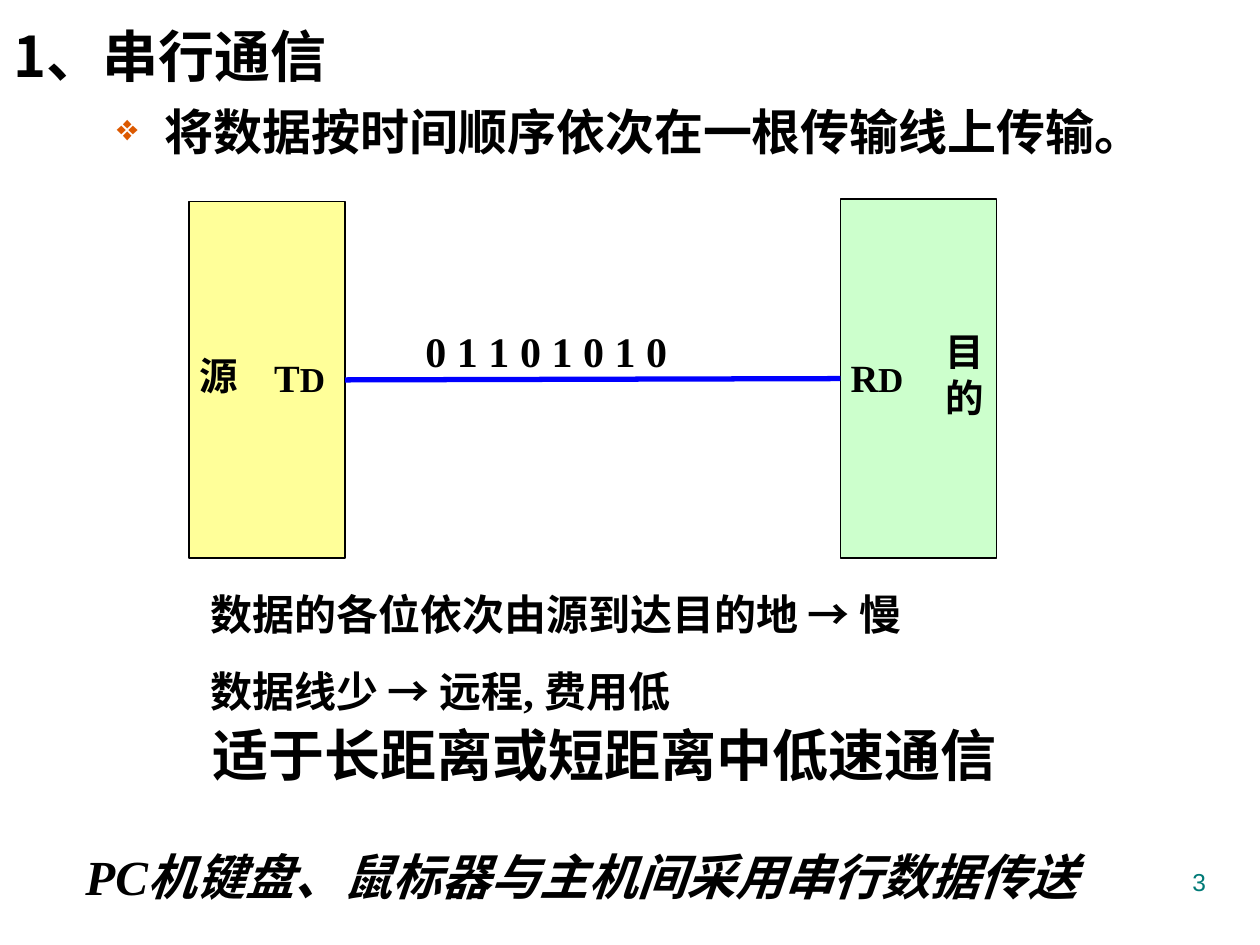
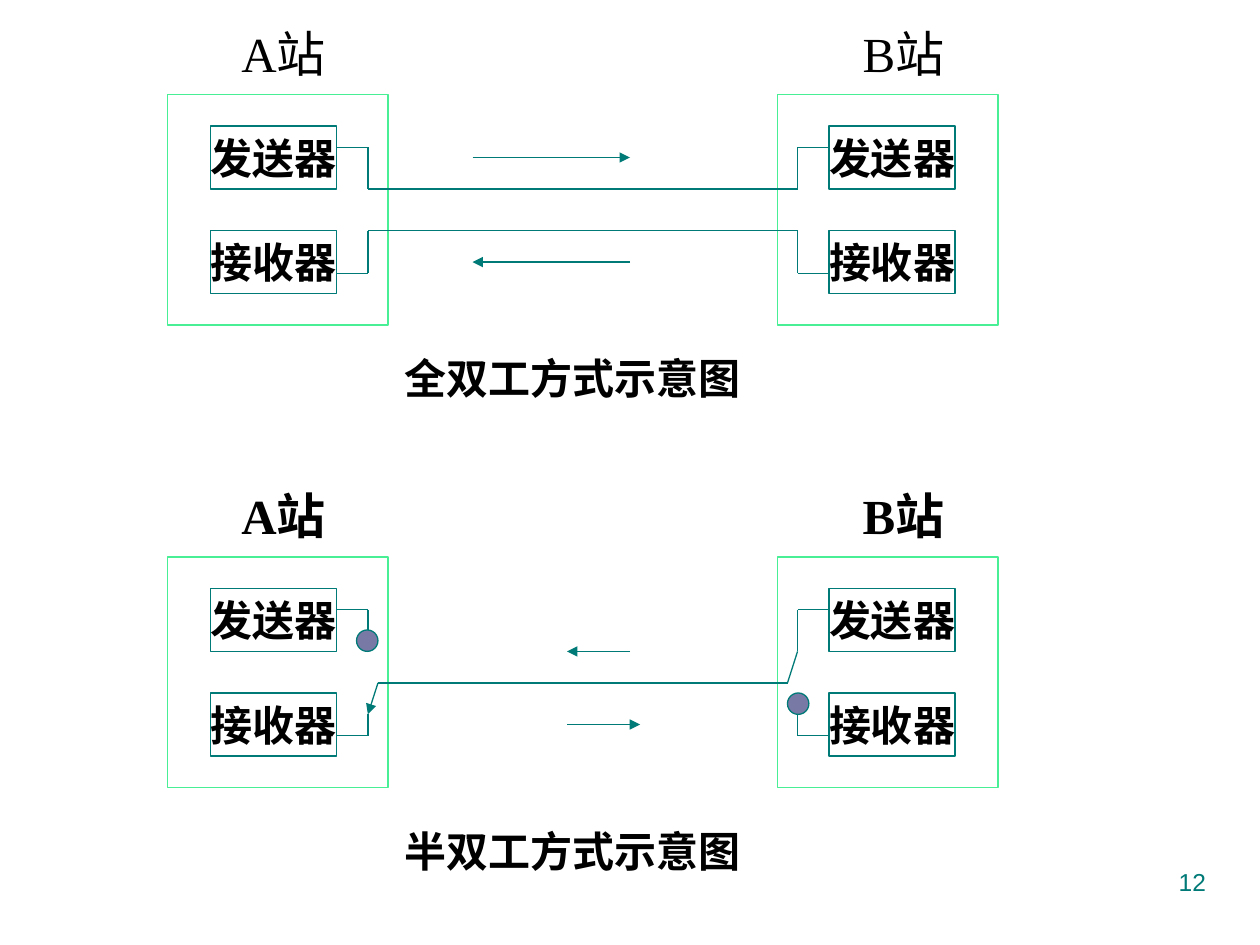
from lxml import etree
from pptx import Presentation
from pptx.dml.color import RGBColor
from pptx.enum import shapes, text
from pptx.oxml import ns
from pptx.util import Inches, Pt

COLORS = {
    "ink": "000000", "teal": "007A77", "frame": "49EF94", "switch": "7979A5",
    "bullet": "DC5900", "source": "FFFF99", "target": "CCFFCC", "signal": "0000FF",
}
SERIF, SANS, NUMBER_FONT = "Times New Roman", "Noto Sans CJK SC", "Arial"
PADDED, TIGHT = (0.1, 0.05), (0, 0)
LEFT, CENTER, RIGHT = text.PP_ALIGN.LEFT, text.PP_ALIGN.CENTER, text.PP_ALIGN.RIGHT

# Serial communication: text, area, then text options
SERIAL_TEXTS = [
    (["1、串行通信"], (0.01, 0.12, 4.83, 0.64),
     dict(size=32, font=SANS, anchor=text.MSO_ANCHOR.MIDDLE)),
    (["将数据按时间顺序依次在一根传输线上传输。"], (0.83, 0.76, 8.5, 0.57),
     dict(size=28, font=SANS, indent=(0.38, -0.38), bullet="❖")),
    (["0 1 1 0 1 0 1 0"], (3.33, 2.58, 2.01, 0.35),
     dict(align=CENTER, insets=TIGHT)),
    (["源"], (1.58, 2.79, 0.42, 0.33), dict(size=22, insets=TIGHT)),
    (["目", "的"], (7.5, 2.6, 0.42, 0.83), dict(size=22, insets=TIGHT)),
    (["数据的各位依次由源到达目的地 → 慢", "数据线少 → 远程, 费用低"],
     (0.67, 4.67, 7.67, 1.01), dict(indent=(1, 0), after=15, insets=TIGHT)),
    (["适于长距离或短距离中低速通信"], (1.59, 5.67, 6.43, 0.64),
     dict(size=32, wrap=False)),
    (["PC机键盘、鼠标器与主机间采用串行数据传送"], (0.58, 6.67, 9.08, 0.57),
     dict(size=28, italic=True, indent=(0.38, -0.38))),
]
PINS = [("T", (2, 2.85, 0.58, 0.44), RIGHT), ("R", (6.75, 2.85, 0.58, 0.36), LEFT)]
SOURCE_AREA = (1.5, 1.6, 1.24, 2.83)
TARGET_AREA = (6.67, 1.58, 1.24, 2.85)

# Duplex diagrams: heights are measured from the top of the station frames
STATIONS = [("A站", 1.33, 1.67, 1.75), ("B站", 6.17, 6.58, 6.67)]  # frame, unit, label x
UNITS = [("发送器", 0.25), ("接收器", 1.08)]
PORT_A, BEND_A, BEND_B, PORT_B = 2.67, 2.92, 6.33, 6.58
SEND, RECEIVE = 0.42, 1.42
DIAGRAMS = [
    dict(
        top=0.75, caption="全双工方式示意图", caption_y=2, bold_labels=False,
        wires=[
            [(PORT_A, SEND), (BEND_A, SEND), (BEND_A, 0.75),
             (BEND_B, 0.75), (BEND_B, SEND), (PORT_B, SEND)],
            [(PORT_A, RECEIVE), (BEND_A, RECEIVE), (BEND_A, 1.08),
             (BEND_B, 1.08), (BEND_B, RECEIVE), (PORT_B, RECEIVE)],
        ],
        arrows=[((3.75, 0.5), (5, 0.5)), ((5, 1.33), (3.75, 1.33))],
        switches=[],
    ),
    dict(
        top=4.42, caption="半双工方式示意图", caption_y=2.08, bold_labels=True,
        wires=[
            [(PORT_A, SEND), (BEND_A, SEND), (BEND_A, 0.67)],
            [(3, 1), (6.25, 1), (BEND_B, 0.75), (BEND_B, SEND), (PORT_B, SEND)],
            [(BEND_A, 1.25), (BEND_A, RECEIVE), (PORT_A, RECEIVE)],
            [(BEND_B, 1.25), (BEND_B, RECEIVE), (PORT_B, RECEIVE)],
        ],
        arrows=[((3, 1), (BEND_A, 1.25)), ((5, 0.75), (4.5, 0.75)),
                ((4.5, 1.33), (5.08, 1.33))],
        switches=[(2.83, 0.58), (6.25, 1.08)],
    ),
]


def rgb(name):
    return RGBColor.from_string(COLORS[name])


def inches(values):
    return [Inches(value) for value in values]


def style_span(span, size, font=SERIF, color="ink", bold=True, italic=False):
    span.font.size = Pt(size)
    span.font.bold, span.font.italic = bold, italic
    span.font.color.rgb = rgb(color)
    span.font.name = font
    east_asian = etree.SubElement(span.font._element, ns.qn("a:ea")) \
        if hasattr(span.font, "_element") else \
        etree.SubElement(span._r.get_or_add_rPr(), ns.qn("a:ea"))
    east_asian.set("typeface", SANS)


def add_bullet(para, symbol):
    properties = para._p.get_or_add_pPr()
    color = etree.SubElement(properties, ns.qn("a:buClr"))
    etree.SubElement(color, ns.qn("a:srgbClr")).set("val", COLORS["bullet"])
    etree.SubElement(properties, ns.qn("a:buSzPct")).set("val", "75000")
    etree.SubElement(properties, ns.qn("a:buChar")).set("char", symbol)


def fill_frame(frame, lines, size=24, align=LEFT, insets=PADDED, wrap=True,
               anchor=text.MSO_ANCHOR.TOP, indent=None, after=0, bullet=None, **style):
    frame.text = "\n".join(lines)
    frame.word_wrap, frame.vertical_anchor = wrap, anchor
    frame.margin_left = frame.margin_right = Inches(insets[0])
    frame.margin_top = frame.margin_bottom = Inches(insets[1])
    for para in frame.paragraphs:
        if bullet:
            add_bullet(para, bullet)
        para.alignment = align
        para.space_after = Pt(after)
        if indent:
            properties = para._p.get_or_add_pPr()
            properties.set("marL", str(Inches(indent[0])))
            properties.set("indent", str(Inches(indent[1])))
        for span in para.runs:
            style_span(span, size, **style)


def add_text(page, lines, area, **options):
    box = page.shapes.add_textbox(*inches(area))
    fill_frame(box.text_frame, lines, **options)
    return box


def add_centered(page, line, area, **options):
    return add_text(page, [line], area, align=CENTER, wrap=False,
                    anchor=text.MSO_ANCHOR.MIDDLE, **options)


def add_box(page, area, line, fill=None, width=0.75,
            kind=shapes.MSO_SHAPE.RECTANGLE):
    box = page.shapes.add_shape(kind, *inches(area))
    box.shadow.inherit = False
    box.line.color.rgb = rgb(line)
    box.line.width = Pt(width)
    if fill:
        box.fill.solid()
        box.fill.fore_color.rgb = rgb(fill)
    else:
        box.fill.background()
    return box


def add_line(page, start, end, color="teal", width=0.75, arrow=False):
    line = page.shapes.add_connector(
        shapes.MSO_CONNECTOR.STRAIGHT, *inches((*start, *end)))
    line.line.color.rgb = rgb(color)
    line.line.width = Pt(width)
    if arrow:
        etree.SubElement(line.line._get_or_add_ln(), ns.qn("a:tailEnd")).set("type", "triangle")
    etree.SubElement(line._element.spPr, ns.qn("a:effectLst"))
    return line


def add_page_number(page, number):
    add_text(page, [str(number)], (7.17, 6.83, 2.5, 0.52), size=14, align=RIGHT,
             font=NUMBER_FONT, color="teal", bold=False)


def build_serial(page):
    source = add_box(page, SOURCE_AREA, "ink", "source", width=1)
    target = add_box(page, TARGET_AREA, "ink", "target", width=1)
    signal = add_line(page, (2.74, 3.02), (6.67, 3), "signal", width=3)
    signal.begin_connect(source, 3)
    signal.end_connect(target, 1)
    for lines, area, options in SERIAL_TEXTS:
        add_text(page, lines, area, **options)
    for letter, area, align in PINS:
        box = add_text(page, [letter], area, size=22, align=align, insets=TIGHT)
        para = box.text_frame.paragraphs[0]
        para.line_spacing = 0.9
        span = para.add_run()
        span.text = "D"
        style_span(span, 20)


def build_diagram(page, diagram):
    top = diagram["top"]

    def place(point):
        return point[0], top + point[1]

    for name, frame_x, unit_x, label_x in STATIONS:
        add_box(page, (frame_x, top, 1.75, 1.83), "frame")
        for unit, unit_y in UNITS:
            box = add_box(page, (unit_x, top + unit_y, 1, 0.5), "teal")
            fill_frame(box.text_frame, [unit], align=CENTER, wrap=False,
                       anchor=text.MSO_ANCHOR.MIDDLE)
        add_centered(page, name, (label_x, top - 0.58, 1, 0.5), size=28,
                     bold=diagram["bold_labels"])
    for wire in diagram["wires"]:
        for start, end in zip(wire, wire[1:]):
            add_line(page, place(start), place(end))
    for start, end in diagram["arrows"]:
        add_line(page, place(start), place(end), arrow=True)
    for switch in diagram["switches"]:
        add_box(page, (*place(switch), 0.17, 0.17), "teal", "switch",
                kind=shapes.MSO_SHAPE.OVAL)
    add_centered(page, diagram["caption"], (2.58, top + diagram["caption_y"], 3.92, 0.5))


def build_duplex(page):
    for diagram in DIAGRAMS:
        build_diagram(page, diagram)


def main():
    deck = Presentation()
    deck.slide_width, deck.slide_height = Inches(10), Inches(7.5)
    for build, number in [(build_serial, 3), (build_duplex, 12)]:
        page = deck.slides.add_slide(deck.slide_layouts[6])
        build(page)
        add_page_number(page, number)
    deck.save("out.pptx")


if __name__ == "__main__":
    main()
